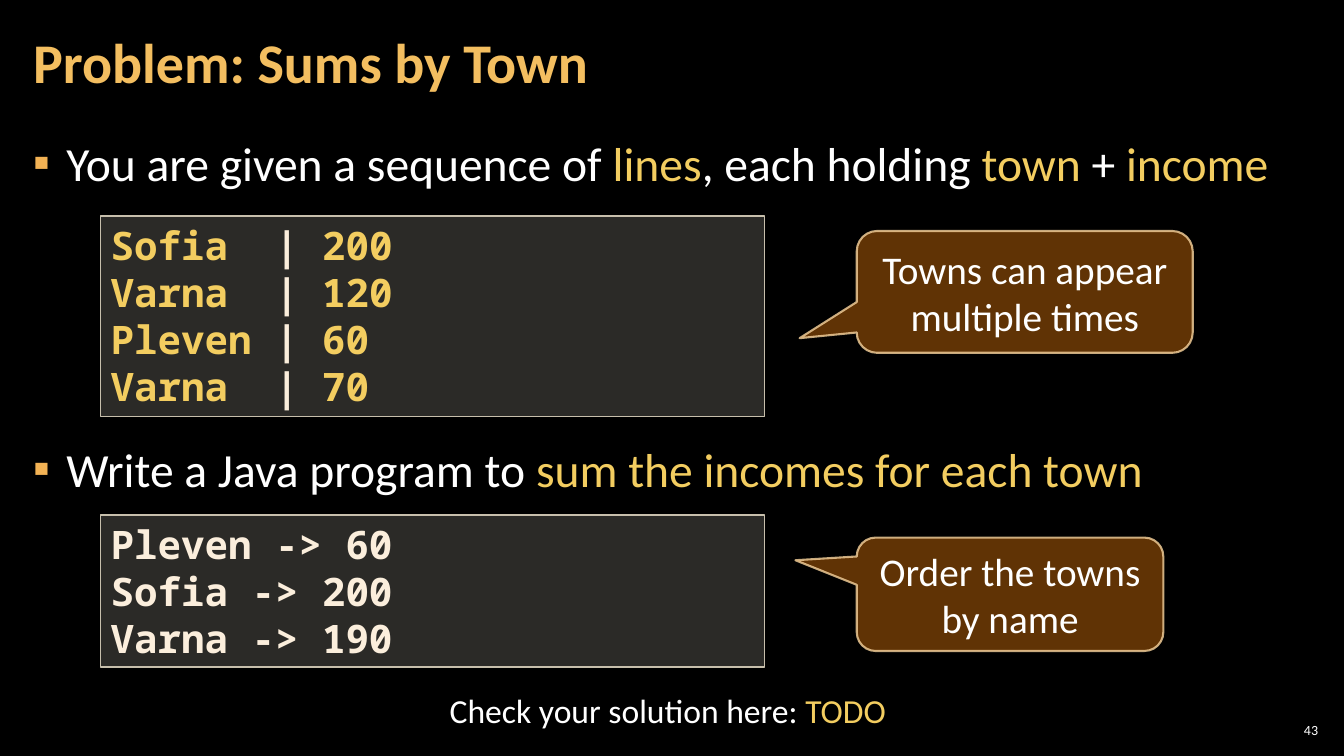
from dataclasses import dataclass

from lxml import etree
from pptx import Presentation
from pptx.dml.color import RGBColor
from pptx.enum.shapes import MSO_SHAPE
from pptx.enum.text import MSO_ANCHOR, PP_ALIGN
from pptx.oxml.ns import qn
from pptx.util import Emu, Inches, Pt

BLACK = RGBColor(0x00, 0x00, 0x00)
WHITE = RGBColor(0xFF, 0xFF, 0xFF)
GOLD = RGBColor(0xF3, 0xCD, 0x60)
TITLE_GOLD = RGBColor(0xF3, 0xBE, 0x60)
BULLET_ORANGE = "F2B254"
CREAM = RGBColor(0xFB, 0xEE, 0xDC)
CODE_FILL = RGBColor(0xD9, 0xD5, 0xC7)
CODE_BORDER = RGBColor(0xC7, 0xBF, 0xAC)
BROWN = RGBColor(0x66, 0x36, 0x06)
CALLOUT_BORDER = RGBColor(0xF8, 0xD4, 0x9E)

LEFT, CENTER, RIGHT = PP_ALIGN.LEFT, PP_ALIGN.CENTER, PP_ALIGN.RIGHT
TOP, MIDDLE = MSO_ANCHOR.TOP, MSO_ANCHOR.MIDDLE
RECTANGLE = MSO_SHAPE.RECTANGLE
CALLOUT = MSO_SHAPE.ROUNDED_RECTANGULAR_CALLOUT

SLIDE_WIDTH, SLIDE_HEIGHT = Inches(13.333), Inches(7.5)
COLUMN, ROW = SLIDE_WIDTH / 160, SLIDE_HEIGHT / 90
ACCENT_MARK = "*"


@dataclass(frozen=True)
class Area:
    """Place on the grid, in columns and rows."""
    column: float
    row: float
    columns: float
    rows: float

    def box(self) -> tuple[Emu, Emu, Emu, Emu]:
        return (Emu(round(self.column * COLUMN)), Emu(round(self.row * ROW)),
                Emu(round(self.columns * COLUMN)), Emu(round(self.rows * ROW)))


@dataclass(frozen=True)
class TextStyle:
    size: float
    color: RGBColor = WHITE
    font: str = "Calibri"
    bold: bool = False
    align: PP_ALIGN = LEFT
    anchor: MSO_ANCHOR = TOP
    inset_x: float = 0.1
    inset_y: float = 0.05


@dataclass(frozen=True)
class PanelStyle:
    """Look of a shape; opacities are in percent."""
    fill: RGBColor
    fill_opacity: int
    border: RGBColor
    border_opacity: int
    border_width: float
    text: TextStyle


@dataclass(frozen=True)
class Panel:
    area: Area
    lines: tuple[str, ...]
    style: PanelStyle
    pointer: tuple[float, float] | None = None


TITLE = TextStyle(40, TITLE_GOLD, bold=True, anchor=MIDDLE, inset_x=0.12, inset_y=0.04)
TASK = TextStyle(34, inset_x=0.12, inset_y=0.04)
LINK = TextStyle(24, align=CENTER)
PAGE_NUMBER = TextStyle(10, align=RIGHT, anchor=MIDDLE, inset_x=0.04, inset_y=0.04)
CODE = PanelStyle(CODE_FILL, 20, CODE_BORDER, 100, 1,
                  TextStyle(28, CREAM, "Noto Sans Mono", bold=True))
NOTE = PanelStyle(BROWN, 95, CALLOUT_BORDER, 80, 1.5,
                  TextStyle(28, align=CENTER, anchor=MIDDLE))

TASKS = ("You are given a sequence of *lines*, each holding *town* + *income*",
         "Write a Java program to *sum the incomes for each town*")
TASK_GAP = 170

PANELS = (
    Panel(Area(12, 25.7, 79, 23.9),
          ("*Sofia*  | *200*", "*Varna*  | *120*", "*Pleven *| *60*", "*Varna*  | *70*"),
          CODE),
    Panel(Area(12, 61.3, 79, 18.1),
          ("Pleven -> 60", "Sofia -> 200", "Varna -> 190"), CODE),
    Panel(Area(102, 27.5, 40, 14.5), ("Towns can appear multiple times",),
          NOTE, (-0.67, 0.38)),
    Panel(Area(102, 64, 36.5, 13.5), ("Order the towns by name",),
          NOTE, (-0.7, -0.3)),
)


def write(frame, lines: tuple[str, ...], style: TextStyle) -> None:
    """Fill a text frame; words between accent marks turn gold."""
    frame.word_wrap = True
    frame.vertical_anchor = style.anchor
    frame.margin_left = frame.margin_right = Inches(style.inset_x)
    frame.margin_top = frame.margin_bottom = Inches(style.inset_y)
    for index, line in enumerate(lines):
        paragraph = frame.add_paragraph() if index else frame.paragraphs[0]
        paragraph.alignment = style.align
        for part, words in enumerate(line.split(ACCENT_MARK)):
            if not words:
                continue
            run = paragraph.add_run()
            run.text = words
            run.font.name = style.font
            run.font.size = Pt(style.size)
            run.font.bold = style.bold
            run.font.color.rgb = GOLD if part % 2 else style.color


def add_text(slide, area: Area, lines: tuple[str, ...], style: TextStyle):
    frame = slide.shapes.add_textbox(*area.box()).text_frame
    write(frame, lines, style)
    return frame


def add_bullet(paragraph) -> None:
    properties = paragraph._p.get_or_add_pPr()
    indent = Inches(0.33)
    properties.set("marL", str(indent))
    properties.set("indent", str(-indent))
    color = etree.SubElement(properties, qn("a:buClr"))
    etree.SubElement(color, qn("a:srgbClr"), val=BULLET_ORANGE)
    etree.SubElement(properties, qn("a:buFont"), typeface="Calibri")
    etree.SubElement(properties, qn("a:buChar"), char="▪")


def set_opacity(parent, percent: int) -> None:
    color = parent.find(qn("a:solidFill")).find(qn("a:srgbClr"))
    etree.SubElement(color, qn("a:alpha"), val=str(percent * 1000))


def add_panel(slide, panel: Panel) -> None:
    style = panel.style
    shape = slide.shapes.add_shape(CALLOUT if panel.pointer else RECTANGLE,
                                   *panel.area.box())
    shape.shadow.inherit = False
    shape.fill.solid()
    shape.fill.fore_color.rgb = style.fill
    shape.line.color.rgb = style.border
    shape.line.width = Pt(style.border_width)
    properties = shape._element.spPr
    set_opacity(properties, style.fill_opacity)
    set_opacity(properties.find(qn("a:ln")), style.border_opacity)
    if panel.pointer:
        shape.adjustments[0], shape.adjustments[1] = panel.pointer
    write(shape.text_frame, panel.lines, style.text)


def add_title(slide, text: str) -> None:
    title = slide.shapes.title
    title.left, title.top, title.width, title.height = Area(2.5, 0.5, 125.6, 14.5).box()
    write(title.text_frame, (text,), TITLE)
    title.text_frame.paragraphs[0].line_spacing = 0.9


def add_tasks(slide) -> None:
    frame = add_text(slide, Area(2.5, 15.1, 155, 73), TASKS, TASK)
    for index, paragraph in enumerate(frame.paragraphs):
        add_bullet(paragraph)
        paragraph.line_spacing = 1.05
        paragraph.space_before = Pt(TASK_GAP if index else 0)
        paragraph.space_after = Pt(6)


def main() -> None:
    deck = Presentation()
    deck.slide_width, deck.slide_height = SLIDE_WIDTH, SLIDE_HEIGHT
    slide = deck.slides.add_slide(deck.slide_layouts.get_by_name("Title Only"))
    slide.background.fill.solid()
    slide.background.fill.fore_color.rgb = BLACK

    add_title(slide, "Problem: Sums by Town")
    add_tasks(slide)
    for panel in PANELS:
        add_panel(slide, panel)
    add_text(slide, Area(10.2, 81.5, 138.6, 6),
             ("Check your solution here: *TODO*",), LINK)
    add_text(slide, Area(151.8, 85.7, 5.6, 2.5), ("43",), PAGE_NUMBER)
    deck.save("out.pptx")


if __name__ == "__main__":
    main()
